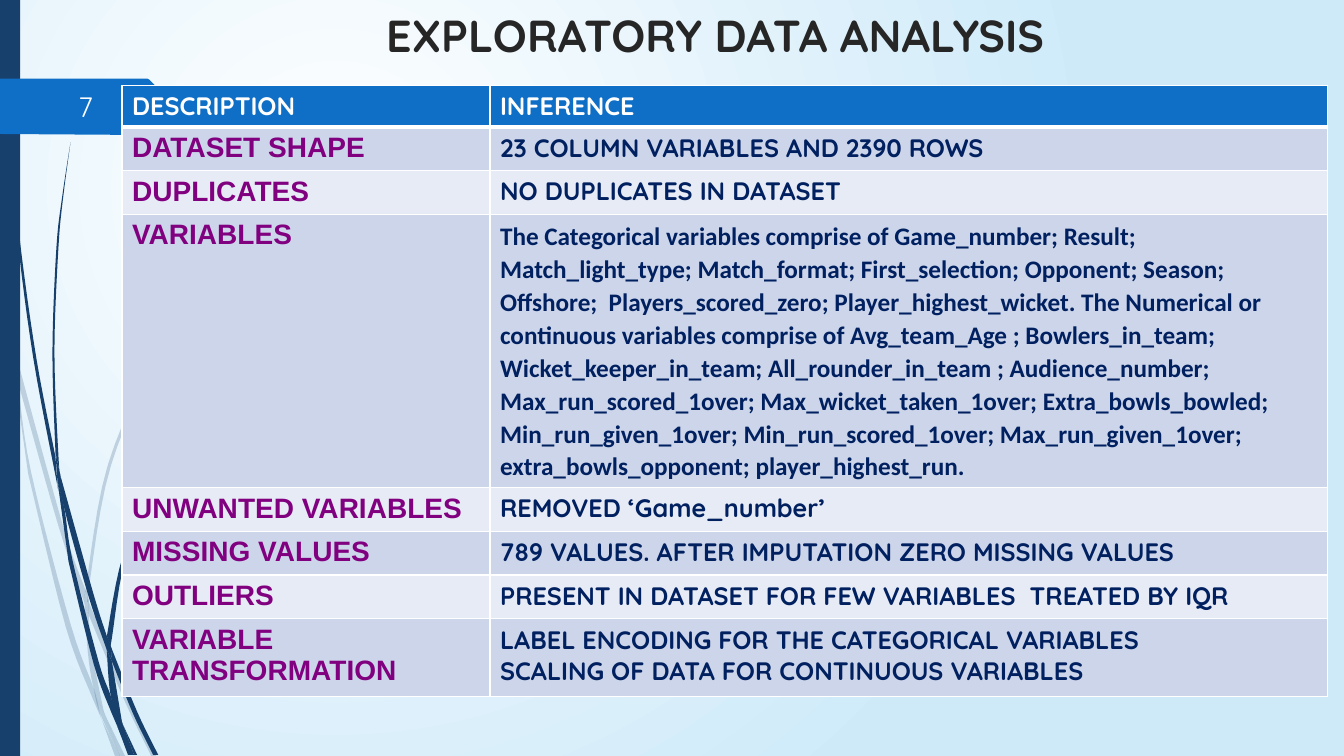
from pptx import Presentation
from pptx.dml.color import RGBColor
from pptx.enum import shapes, text
from pptx.oxml import ns, xmlchemy as xml
from pptx.util import Inches, Pt

NAVY = RGBColor(0x17, 0x40, 0x6D)
BLUE = RGBColor(0x0F, 0x6F, 0xC6)
INK = RGBColor(0x00, 0x20, 0x60)
PLUM = RGBColor(0x80, 0x00, 0x80)
GREY = RGBColor(0x26, 0x26, 0x26)
WHITE = RGBColor(0xFF, 0xFF, 0xFF)
PALE = RGBColor(0xFE, 0xFF, 0xFF)
SKY = RGBColor(0xCE, 0xEA, 0xF9)
BANDS = [RGBColor(0xCC, 0xD5, 0xEA), RGBColor(0xE7, 0xEB, 0xF5)]

HEAD = ("DESCRIPTION", ["INFERENCE"])
VARS = (
    "The Categorical variables comprise of Game_number; Result;  "
    "Match_light_type; Match_format; First_selection; Opponent; Season; "
    "Offshore;  Players_scored_zero; Player_highest_wicket. The Numerical or "
    "continuous variables comprise of Avg_team_Age ; Bowlers_in_team; "
    "Wicket_keeper_in_team; All_rounder_in_team ; Audience_number; "
    "Max_run_scored_1over; Max_wicket_taken_1over; Extra_bowls_bowled; "
    "Min_run_given_1over; Min_run_scored_1over; Max_run_given_1over; "
    "extra_bowls_opponent; player_highest_run."
)
ROWS = [
    ("DATASET SHAPE", ["23 COLUMN VARIABLES AND 2390 ROWS"]),
    ("DUPLICATES", ["NO DUPLICATES IN DATASET"]),
    ("VARIABLES", [VARS]),
    ("UNWANTED VARIABLES", ["REMOVED ‘Game_number’"]),
    ("MISSING VALUES", ["789 VALUES. AFTER IMPUTATION ZERO MISSING VALUES"]),
    ("OUTLIERS", ["PRESENT IN DATASET FOR FEW VARIABLES  TREATED BY IQR"]),
    ("VARIABLE TRANSFORMATION", ["LABEL ENCODING FOR THE CATEGORICAL VARIABLES",
                                 "SCALING OF DATA FOR CONTINUOUS VARIABLES"]),
]
COLS = [3.65, 8.31]
ROW = 0.41
TALL = {3: 2.71, 7: 0.73}

# Each blade of grass has two edges, one traced out and one traced back.
FAINT = [
    ([(0.11, 3.5), (0.09, 3.22), (0, 2.82)], [(0, 2.99), (0.1, 3.44)]),
    ([(0.14, 3.45), (0.62, 5.2), (0.85, 5.86)],
     [(0.84, 5.99), (0.58, 5.22), (0.17, 3.76)]),
    ([(0.88, 5.96), (0.92, 6.07), (1.27, 6.92), (1.55, 7.5)],
     [(1.5, 7.5), (1.23, 6.94), (0.88, 6.1)]),
    ([(1.05, 7.11), (1.24, 7.5)], [(1.19, 7.5)]),
    ([(0.11, 3.5), (0.17, 3.76), (0.31, 4.69), (0.7, 6.19), (0.93, 6.83),
      (0.99, 7.07), (1.01, 7.14)],
     [(0.92, 6.93), (0.65, 6.21), (0.28, 4.7)]),
    ([(0.84, 5.99), (0.87, 6.46), (0.93, 6.83), (1.05, 7.11)],
     [(1.03, 7.06), (0.91, 6.46), (0.88, 6.1)]),
    ([(0.88, 5.96), (0.88, 5.84), (1.1, 4.62), (1.6, 3.49), (2.29, 2.45),
      (2.68, 1.98), (3.12, 1.54)],
     [(3.12, 1.53), (2.68, 1.97), (2.28, 2.44), (1.58, 3.48), (1.07, 4.61),
      (0.85, 5.84), (0.85, 5.86)]),
    ([(1.01, 7.14), (1.14, 7.5)], [(1.19, 7.5)]),
    ([(0.88, 6.1), (0.88, 5.96), (0.85, 5.86)], [(0.84, 5.99)]),
    ([(0.93, 6.83), (0.99, 7.07), (1.19, 7.5)], [(1.05, 7.11), (0.96, 6.92)]),
]
DARK = [
    ([(0.03, 0), (0.04, 0.48), (0.07, 1.1), (0.17, 2.33), (0.33, 3.55),
      (0.56, 4.77), (0.57, 4.81)],
     [(0.55, 4.53), (0.36, 3.55), (0.19, 2.32), (0.08, 1.09), (0.05, 0.48),
      (0.04, 0)]),
    ([(0.6, 4.72), (0.64, 5.05), (0.88, 5.92), (1.06, 6.45)],
     [(1.06, 6.31), (0.93, 5.9), (0.6, 4.72)]),
    ([(1.1, 6.41), (1.13, 6.49), (1.36, 7.06), (1.57, 7.49)],
     [(1.52, 7.49), (1.32, 7.08), (1.11, 6.56)]),
    ([(0.57, 4.77), (0.64, 5.05), (0.72, 5.56), (0.98, 6.57), (1.1, 6.91),
      (1.17, 7.22)],
     [(1.11, 7.08), (0.93, 6.59), (0.68, 5.57)]),
    ([(0.6, 4.72), (0.58, 4.53), (0.54, 3.49), (0.58, 2.45), (0.63, 1.93),
      (0.7, 1.41)],
     [(0.7, 1.41), (0.62, 1.93), (0.56, 2.45), (0.52, 3.49), (0.55, 4.49)]),
    ([(1.22, 7.19), (1.36, 7.49)], [(1.33, 7.49)]),
    ([(0.57, 4.77), (0.64, 5.05)], [(0.6, 4.72), (0.55, 4.49)]),
    ([(1.1, 6.41), (1.11, 6.33), (1.25, 5.52), (1.58, 4.76), (2.05, 4.06),
      (2.31, 3.74), (2.61, 3.44)],
     [(2.6, 3.44), (2.31, 3.73), (2.04, 4.05), (1.56, 4.74), (1.22, 5.51),
      (1.06, 6.31)]),
    ([(1.17, 7.22), (1.27, 7.49)], [(1.31, 7.49)]),
    ([(1.06, 6.45), (1.1, 6.91), (1.22, 7.19)], [(1.21, 7.16), (1.11, 6.56)]),
    ([(1.06, 6.31), (1.1, 6.41), (1.11, 6.56)], [(1.06, 6.45)]),
    ([(1.1, 6.91), (1.17, 7.22), (1.3, 7.49)],
     [(1.33, 7.49), (1.22, 7.19), (1.16, 7.06)]),
]
TAG = [(0, 0.78), (1.46, 0.78), (1.48, 0.79), (1.73, 1.04), (1.74, 1.06),
       (1.73, 1.08), (1.48, 1.33), (1.46, 1.34), (0, 1.33)]


def add(up, tag, **attrs):
    kid = xml.OxmlElement(tag)
    for key, val in attrs.items():
        kid.set(key, str(val))
    up.append(kid)
    return kid


def smooth(pts, steps=6):
    """Points along a Catmull-Rom curve through pts."""
    out = [pts[0]]
    ends = [pts[0], *pts, pts[-1]]
    for a, b, c, d in zip(ends, ends[1:], ends[2:], ends[3:]):
        for n in range(1, steps + 1):
            t = n / steps
            out.append(tuple(
                q + t * (r - p + t * (2 * p - 5 * q + 4 * r - s
                                      + t * (3 * q - p - 3 * r + s))) / 2
                for p, q, r, s in zip(a, b, c, d)))
    return out


def paint(shape, color, alpha=None):
    shape.shadow.inherit = False
    shape.fill.solid()
    shape.fill.fore_color.rgb = color
    shape.line.fill.background()
    if alpha:
        rgb = next(shape.element.spPr.iter(ns.qn("a:srgbClr")))
        add(rgb, "a:alpha", val=alpha * 1000)


def outline(pts, color, alpha=None):
    pts = [(Inches(x), Inches(y)) for x, y in pts]
    pen = slide.shapes.build_freeform(*pts[0])
    pen.add_line_segments(pts[1:], close=True)
    paint(pen.convert_to_shape(), color, alpha)


def write(frame, lines, color, **form):
    frame.word_wrap = True
    for n, line in enumerate(lines):
        para = frame.add_paragraph() if n else frame.paragraphs[0]
        run = para.add_run()
        run.text = line
        run.font.color.rgb = color
        for key, val in form.items():
            setattr(run.font, key, val)


def label(box, line, align, anchor, color, **form):
    frame = slide.shapes.add_textbox(*map(Inches, box)).text_frame
    write(frame, [line], color, **form)
    frame.vertical_anchor = anchor
    frame.paragraphs[0].alignment = align


def border(cell, head):
    props = cell._tc.get_or_add_tcPr()
    for side in "LRTB":
        wide = 3 if head and side == "B" else 1
        line = add(props, "a:ln" + side, w=Pt(wide))
        add(add(line, "a:solidFill"), "a:srgbClr", val=WHITE)


deck = Presentation()
deck.slide_width, deck.slide_height = Inches(13.33), Inches(7.5)
slide = deck.slides.add_slide(deck.slide_layouts[6])

back = slide.background.fill
back.gradient()
for stop, color in zip(back.gradient_stops, [WHITE, SKY]):
    stop.color.rgb = color
lin = next(slide.element.iter(ns.qn("a:lin")))
grad = lin.getparent()
grad.remove(lin)
add(add(grad, "a:path", path="circle"), "a:fillToRect",
    l=50000, t=50000, r=100000, b=100000)

for blades, alpha in [(FAINT, 20), (DARK, None)]:
    for out, home in blades:
        outline(smooth(out) + smooth(home), NAVY, alpha)
spine = slide.shapes.add_shape(shapes.MSO_SHAPE.RECTANGLE, 0, 0, Inches(0.2), Inches(7.5))
paint(spine, NAVY)
outline(TAG, BLUE)

label((2.22, 0.03, 9.75, 0.83), "EXPLORATORY DATA ANALYSIS", text.PP_ALIGN.CENTER,
      text.MSO_ANCHOR.TOP, GREY, name="Quicksand", size=Pt(32), bold=True)

highs = [TALL.get(n, ROW) for n in range(len(ROWS) + 1)]
spot = map(Inches, (1.21, 0.85, sum(COLS), sum(highs)))
table = slide.shapes.add_table(len(highs), len(COLS), *spot).table
for col, wide in zip(table.columns, COLS):
    col.width = Inches(wide)
for n, (name, lines) in enumerate([HEAD, *ROWS]):
    table.rows[n].height = Inches(highs[n])
    for m, body in enumerate([[name], lines]):
        cell = table.cell(n, m)
        border(cell, n == 0)
        cell.fill.solid()
        cell.fill.fore_color.rgb = BANDS[(n - 1) % 2] if n else BLUE
        key = n > 0 and m == 0
        font = "Arial" if key else "Calibri" if VARS in body else "Quicksand"
        write(cell.text_frame, body, PLUM if key else INK if n else WHITE,
              name=font, size=Pt(20 if key else 18), bold=True)
prose = table.cell(3, 1).text_frame.paragraphs[0]
prose.line_spacing, prose.space_after = 1.07, Pt(8)

label((0.17, 0.85, 0.85, 0.4), "7", text.PP_ALIGN.RIGHT, text.MSO_ANCHOR.MIDDLE,
      PALE, name="Quicksand", size=Pt(20))
deck.save("out.pptx")
